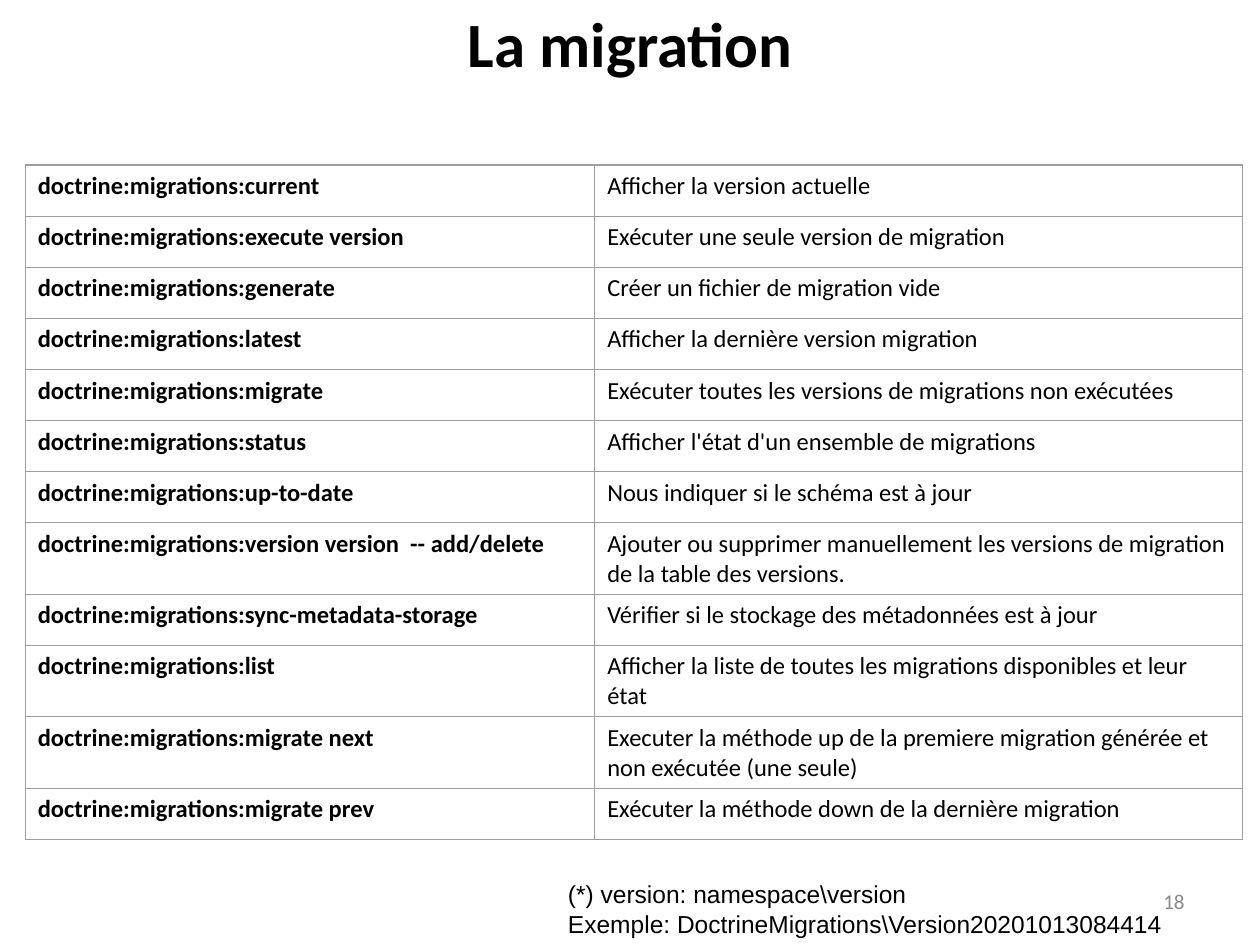
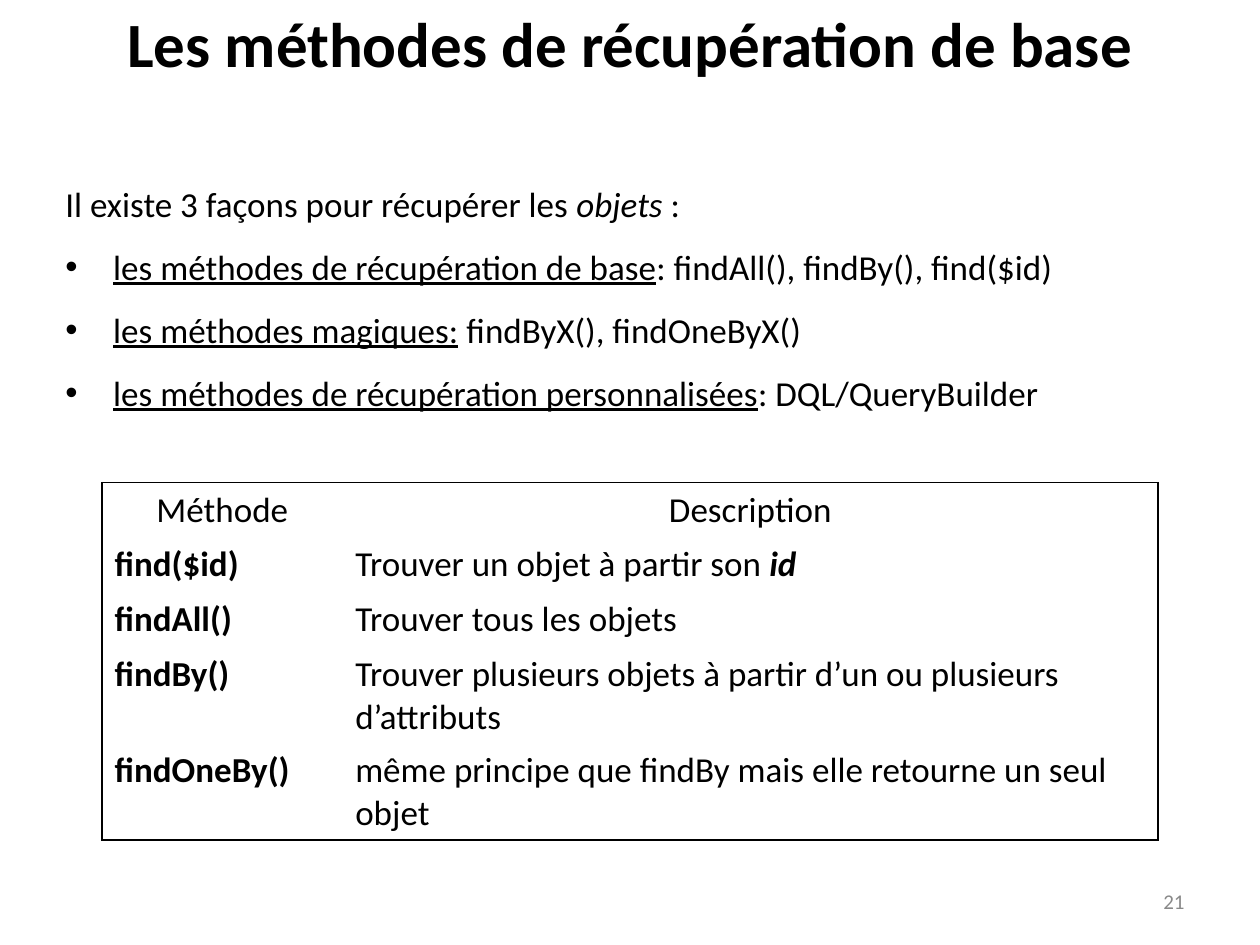
from lxml import etree
from pptx import Presentation
from pptx.dml.color import RGBColor
from pptx.enum.text import MSO_ANCHOR, PP_ALIGN
from pptx.oxml.ns import qn
from pptx.util import Inches, Pt

LEFT, CENTER, RIGHT = PP_ALIGN.LEFT, PP_ALIGN.CENTER, PP_ALIGN.RIGHT
TOP, MIDDLE = MSO_ANCHOR.TOP, MSO_ANCHOR.MIDDLE
BLACK, GREY, GRID = "000000", "898989", "9E9E9E"
BODY_FONT, NOTE_FONT = "Calibri", "Arial"
BOLD, ITALIC, UNDERLINE = {"bold": True}, {"italic": True}, {"underline": True}

COMMANDS = [
    ("doctrine:migrations:current", "Afficher la version actuelle"),
    ("doctrine:migrations:execute version", "Exécuter une seule version de migration"),
    ("doctrine:migrations:generate", "Créer un fichier de migration vide"),
    ("doctrine:migrations:latest", "Afficher la dernière version migration"),
    ("doctrine:migrations:migrate", "Exécuter toutes les versions de migrations non exécutées"),
    ("doctrine:migrations:status", "Afficher l'état d'un ensemble de migrations"),
    ("doctrine:migrations:up-to-date", "Nous indiquer si le schéma est à jour"),
    ("doctrine:migrations:version version  -- add/delete",
     "Ajouter ou supprimer manuellement les versions de migration de la table des versions."),
    ("doctrine:migrations:sync-metadata-storage",
     "Vérifier si le stockage des métadonnées est à jour"),
    ("doctrine:migrations:list",
     "Afficher la liste de toutes les migrations disponibles et leur état"),
    ("doctrine:migrations:migrate next",
     "Executer la méthode up de la premiere migration générée et non exécutée (une seule)"),
    ("doctrine:migrations:migrate prev", "Exécuter la méthode down de la dernière migration"),
]

WAYS = [
    ("les méthodes de récupération de base", ": findAll(), findBy(), find($id)"),
    ("les méthodes magiques:", " findByX(), findOneByX()"),
    ("les méthodes de récupération personnalisées", ": DQL/QueryBuilder"),
]

METHODS = [
    ("find($id)", [("Trouver un objet à partir son ", {}), ("id", BOLD | ITALIC)]),
    ("findAll()", "Trouver tous les objets"),
    ("findBy()", "Trouver plusieurs objets à partir d’un ou plusieurs d’attributs"),
    ("findOneBy()", "même principe que findBy mais elle retourne un seul objet"),
]


def rgb(color):
    return RGBColor.from_string(color)


def add_bullet(p):
    pPr = p._p.get_or_add_pPr()
    pPr.set("marL", str(Inches(0.38)))
    pPr.set("indent", str(-Inches(0.38)))
    etree.SubElement(pPr, qn("a:buFont"), typeface="Arial")
    etree.SubElement(pPr, qn("a:buChar"), char="•")


def write(p, text, size=20, font=BODY_FONT, color=BLACK, align=LEFT,
          bold=False, spacing=None, bullet=False):
    p.alignment = align
    if spacing:
        p.line_spacing = spacing
    if bullet:
        add_bullet(p)
    runs = [(text, {})] if isinstance(text, str) else text
    for words, style in runs:
        r = p.add_run()
        r.text = words
        r.font.size, r.font.name = Pt(size), font
        r.font.color.rgb = rgb(color)
        r.font.bold = style.get("bold", bold)
        r.font.italic = style.get("italic", False)
        r.font.underline = style.get("underline", False)


def add_text(s, box, lines, anchor=TOP, **fmt):
    tf = s.shapes.add_textbox(*map(Inches, box)).text_frame
    tf.word_wrap = True
    tf.vertical_anchor = anchor
    for i, text in enumerate(lines):
        p = tf.add_paragraph() if i else tf.paragraphs[0]
        write(p, text, bullet=fmt.get("bullets", False) and i > 0,
              **{k: v for k, v in fmt.items() if k != "bullets"})


def set_borders(cell, sides, color, width):
    tcPr = cell._tc.get_or_add_tcPr()
    for side in "LRTB":
        ln = etree.SubElement(tcPr, qn(f"a:ln{side}"), w=str(Pt(width)))
        if side in sides:
            fill = etree.SubElement(ln, qn("a:solidFill"))
            etree.SubElement(fill, qn("a:srgbClr"), val=color)
        else:
            etree.SubElement(ln, qn("a:noFill"))


def outer_sides(row, col, last_row, last_col):
    edges = {"L": col == 0, "R": col == last_col, "T": row == 0, "B": row == last_row}
    return [side for side, on_edge in edges.items() if on_edge]


def add_grid(s, left, top, widths, heights, rows, size, line, line_width,
             header=False, inner_lines=True):
    table = s.shapes.add_table(len(rows), len(widths), Inches(left), Inches(top),
                               Inches(sum(widths)), Inches(sum(heights))).table
    table.first_row = table.horz_banding = False
    for column, width in zip(table.columns, widths):
        column.width = Inches(width)
    for i, (height, texts) in enumerate(zip(heights, rows)):
        table.rows[i].height = Inches(height)
        is_header = header and i == 0
        for j, text in enumerate(texts):
            cell = table.cell(i, j)
            sides = "LRTB" if inner_lines else outer_sides(i, j, len(rows) - 1, len(widths) - 1)
            set_borders(cell, sides, line, line_width)
            cell.fill.background()
            write(cell.text_frame.paragraphs[0], text, size=size,
                  bold=j == 0 and not is_header, align=CENTER if is_header else LEFT)


def add_slide(prs, title, number):
    s = prs.slides.add_slide(prs.slide_layouts[6])
    add_text(s, (0, -0.29, 10, 1.25), [title], anchor=MIDDLE, size=36, bold=True, align=CENTER)
    add_text(s, (7.17, 6.95, 2.33, 0.4), [str(number)], anchor=MIDDLE, size=12,
             color=GREY, align=RIGHT)
    return s


def migration_slide(prs):
    s = add_slide(prs, "La migration", 18)
    row_height = 4.87 / len(COMMANDS)
    add_grid(s, 0.2, 1.31, [4.52, 5.14], [row_height] * len(COMMANDS), COMMANDS,
             size=14, line=GRID, line_width=0.75)
    add_text(s, (4.41, 6.93, 4.96, 0.57),
             ["(*) version: namespace\\version",
              "Exemple: DoctrineMigrations\\Version20201013084414"],
             size=14, font=NOTE_FONT)


def retrieval_slide(prs):
    s = add_slide(prs, "Les méthodes de récupération de base", 21)
    intro = [("Il existe 3 façons pour récupérer les ", {}), ("objets", ITALIC), (" :", {})]
    ways = [[(name, UNDERLINE), (calls, {})] for name, calls in WAYS]
    add_text(s, (0.42, 1.23, 9.08, 1.72), [intro] + ways, spacing=1.5, bullets=True)
    add_grid(s, 0.81, 3.83, [1.91, 6.47], [0.43, 0.43, 0.43, 0.73, 0.54],
             [("Méthode", "Description")] + METHODS, size=20, line=BLACK, line_width=1,
             header=True, inner_lines=False)


def main():
    prs = Presentation()
    prs.slide_width, prs.slide_height = Inches(10), Inches(7.5)
    migration_slide(prs)
    retrieval_slide(prs)
    prs.save("out.pptx")


if __name__ == "__main__":
    main()
